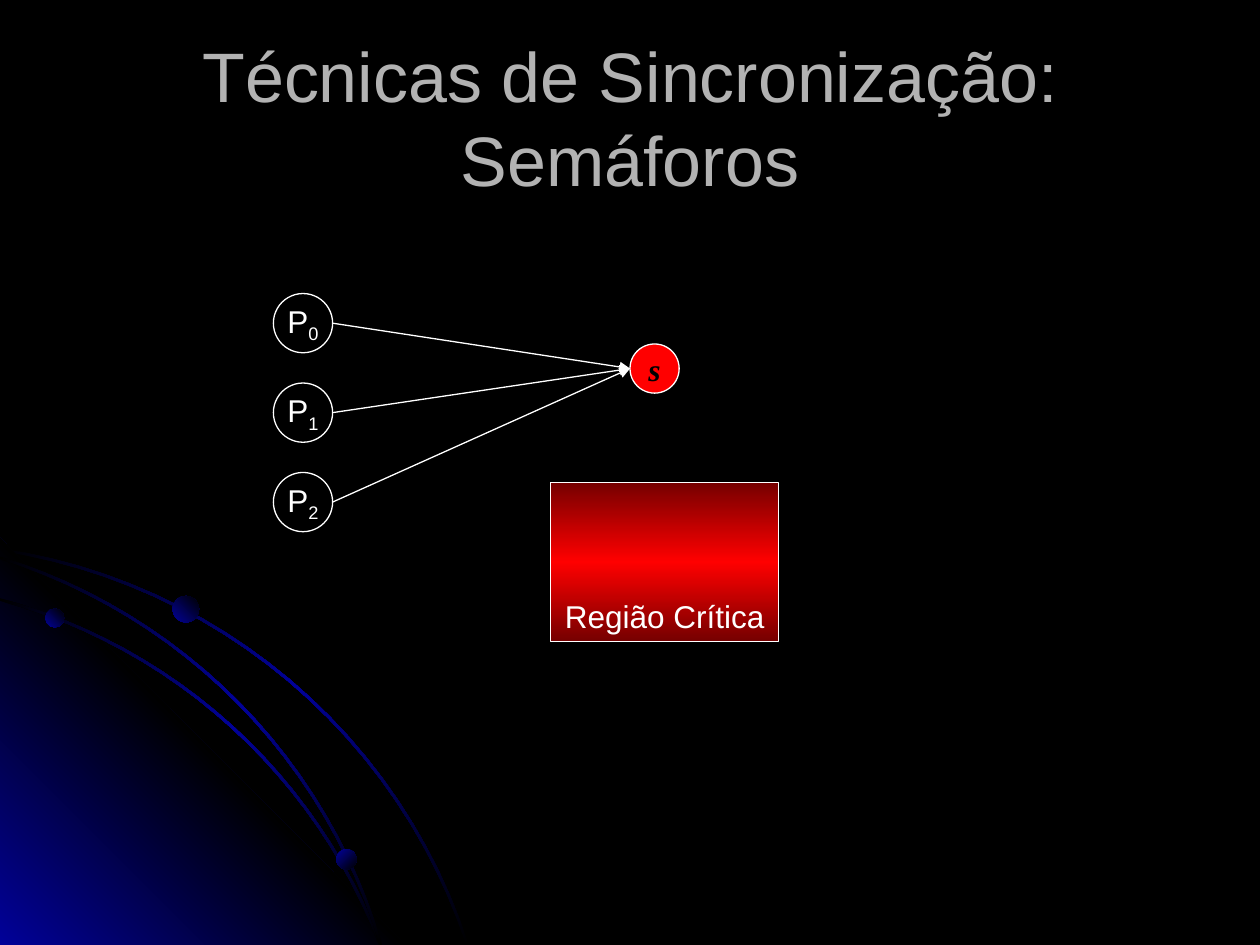
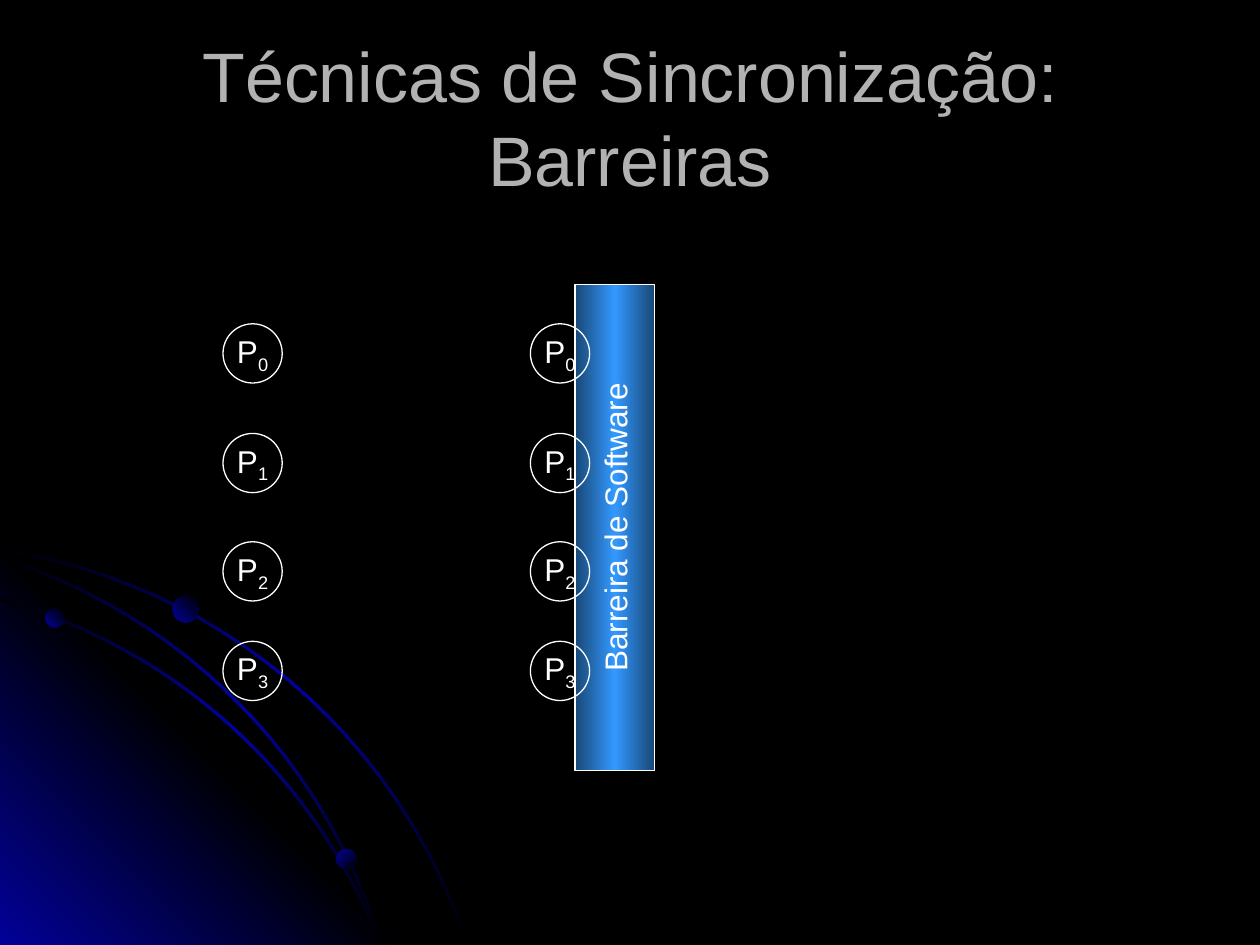
"""Build two slides on synchronisation techniques: semaphores and barriers."""
import math

from lxml import etree
from pptx import Presentation
from pptx import util as u
from pptx.dml.color import RGBColor
from pptx.enum import shapes, text as t
from pptx.oxml import ns

BLACK = RGBColor(0x00, 0x00, 0x00)
WHITE = RGBColor(0xFF, 0xFF, 0xFF)
TITLE_GREY = RGBColor(0xB2, 0xB2, 0xB2)
NAVY = RGBColor(0x01, 0x01, 0x99)
RED = RGBColor(0xFF, 0x00, 0x00)
DARK_RED = RGBColor(0x76, 0x00, 0x00)
BLUE = RGBColor(0x33, 0x99, 0xFF)
DARK_BLUE = RGBColor(0x18, 0x47, 0x76)

PAGE_WIDTH, PAGE_HEIGHT = 10, 7.5
CORNER = [(0, 4.27), (3.22, PAGE_HEIGHT), (0, PAGE_HEIGHT)]
OUTER_ORBIT, INNER_ORBIT, MIDDLE_ORBIT = (-0.69, 8.94, 4.64), (-1.18, 9.09, 4.5), (-1.36, 8.79, 4.58)
ORBIT_THICKNESS = 0.02
ORBIT_STEPS = 24
PLANETS = [(0.36, 4.83, 0.15, 315), (2.67, 6.74, 0.16, 45), (1.37, 4.73, 0.21, 315)]

NODE = 0.47
SEMAPHORE_LEFT, SEMAPHORE_TOP, SEMAPHORE_SIZE = 5, 2.73, 0.39
SEMAPHORE_NODES = [(2.17, 2.33 + 0.71 * number, number) for number in range(3)]
BARRIER_NODES = [(left, top, number) for left in (1.77, 4.21)
                 for number, top in enumerate((2.57, 3.44, 4.3, 5.09))]


def style(shape, colours=(), angle=0, outlined=True):
    """Fill with nothing, one colour or an even gradient, and set the outline."""
    shape.shadow.inherit = False
    if len(colours) > 1:
        shape.fill.gradient()
        gradient = shape.fill._xPr.find(ns.qn("a:gradFill"))
        stops = gradient.find(ns.qn("a:gsLst"))
        stops.clear()
        for index, colour in enumerate(colours):
            place = str(100000 * index // (len(colours) - 1))
            stop = etree.SubElement(stops, ns.qn("a:gs"), pos=place)
            etree.SubElement(stop, ns.qn("a:srgbClr"), val=str(colour))
        gradient.find(ns.qn("a:lin")).set("ang", str(angle * 60000))
    elif colours:
        shape.fill.solid()
        shape.fill.fore_color.rgb = colours[0]
    else:
        shape.fill.background()
    if outlined:
        shape.line.color.rgb = WHITE
        shape.line.width = u.Pt(0.75)
    else:
        shape.line.fill.background()
    return shape


def write(box, words, subscript="", size=18, colour=WHITE, font="Arial", strong=False,
          anchor=t.MSO_ANCHOR.MIDDLE, wrap=False):
    """Write centred text with an optional subscript."""
    frame = box.text_frame
    frame.word_wrap = wrap
    frame.vertical_anchor = anchor
    para = frame.paragraphs[0]
    para.alignment = t.PP_ALIGN.CENTER
    para.text = words
    if subscript:
        span = para.add_run()
        span.text = subscript
        span.font._element.set("baseline", "-25000")
    for span in para.runs:
        span.font.size = u.Pt(size)
        span.font.name = font
        span.font.color.rgb = colour
        span.font.bold = span.font.italic = strong


orbit_bands = []
for centre_x, centre_y, radius in (OUTER_ORBIT, INNER_ORBIT, MIDDLE_ORBIT):
    edges = []
    for reach in (radius, radius - ORBIT_THICKNESS):
        at_left_edge = math.asin(-centre_x / reach)
        at_bottom_edge = math.acos((centre_y - PAGE_HEIGHT) / reach)
        step = (at_bottom_edge - at_left_edge) / ORBIT_STEPS
        turns = [at_left_edge + step * index for index in range(ORBIT_STEPS + 1)]
        edges.append([(centre_x + reach * math.sin(turn), centre_y - reach * math.cos(turn))
                      for turn in turns])
    far_edge, near_edge = edges
    orbit_bands.append((far_edge + near_edge[::-1], [BLACK, NAVY, BLACK], 45))
outer_band, inner_band, middle_band = orbit_bands
corner_glow = (CORNER, [NAVY, BLACK, NAVY], 315)

deck = Presentation()
deck.slide_width, deck.slide_height = u.Inches(PAGE_WIDTH), u.Inches(PAGE_HEIGHT)
pages = []
for topic in ("Semáforos", "Barreiras"):
    page = deck.slides.add_slide(deck.slide_layouts[6])
    page.background.fill.solid()
    page.background.fill.fore_color.rgb = BLACK
    for points, colours, angle in (outer_band, corner_glow, inner_band, middle_band):
        corners = [(u.Inches(x), u.Inches(y)) for x, y in points]
        outline = page.shapes.build_freeform(*corners[0])
        outline.add_line_segments(corners[1:], close=True)
        style(outline.convert_to_shape(), colours, angle, outlined=False)
    for left, top, size, angle in PLANETS:
        planet = page.shapes.add_shape(
            shapes.MSO_SHAPE.OVAL, u.Inches(left), u.Inches(top), u.Inches(size), u.Inches(size))
        style(planet, [NAVY, BLACK], angle, outlined=False)
    title = page.shapes.add_textbox(u.Inches(0.5), u.Inches(0.3), u.Inches(9), u.Inches(1.25))
    write(title, f"Técnicas de Sincronização:\v{topic}", size=40, colour=TITLE_GREY, wrap=True)
    pages.append(page)
semaphore_page, barrier_page = pages

region = semaphore_page.shapes.add_shape(
    shapes.MSO_SHAPE.RECTANGLE, u.Inches(4.37), u.Inches(3.83), u.Inches(1.81), u.Inches(1.26))
style(region, [DARK_RED, RED, DARK_RED], 90)
write(region, "Região Crítica", anchor=t.MSO_ANCHOR.BOTTOM)

barrier = barrier_page.shapes.add_shape(
    shapes.MSO_SHAPE.RECTANGLE, u.Inches(2.95), u.Inches(3.87), u.Inches(3.86), u.Inches(0.63))
barrier.rotation = 270
style(barrier, [DARK_BLUE, BLUE, DARK_BLUE], 90)
write(barrier, "Barreira de Software")

for page, nodes in ((semaphore_page, SEMAPHORE_NODES), (barrier_page, BARRIER_NODES)):
    for left, top, number in nodes:
        process = page.shapes.add_shape(
            shapes.MSO_SHAPE.OVAL, u.Inches(left), u.Inches(top), u.Inches(NODE), u.Inches(NODE))
        write(style(process), "P", subscript=str(number))

for left, top, number in SEMAPHORE_NODES:
    arrow = semaphore_page.shapes.add_connector(
        shapes.MSO_CONNECTOR.STRAIGHT, u.Inches(left + NODE), u.Inches(top + NODE / 2),
        u.Inches(SEMAPHORE_LEFT), u.Inches(SEMAPHORE_TOP + SEMAPHORE_SIZE / 2))
    arrow.line.color.rgb = WHITE
    arrow.line.width = u.Pt(0.75)
    etree.SubElement(arrow.line._get_or_add_ln(), ns.qn("a:tailEnd"), type="triangle")
    etree.SubElement(arrow._element.spPr, ns.qn("a:effectLst"))

semaphore = semaphore_page.shapes.add_shape(
    shapes.MSO_SHAPE.OVAL, u.Inches(SEMAPHORE_LEFT), u.Inches(SEMAPHORE_TOP),
    u.Inches(SEMAPHORE_SIZE), u.Inches(SEMAPHORE_SIZE))
write(style(semaphore, [RED]), "s", colour=BLACK, font="Times New Roman", strong=True)

deck.save("out.pptx")
